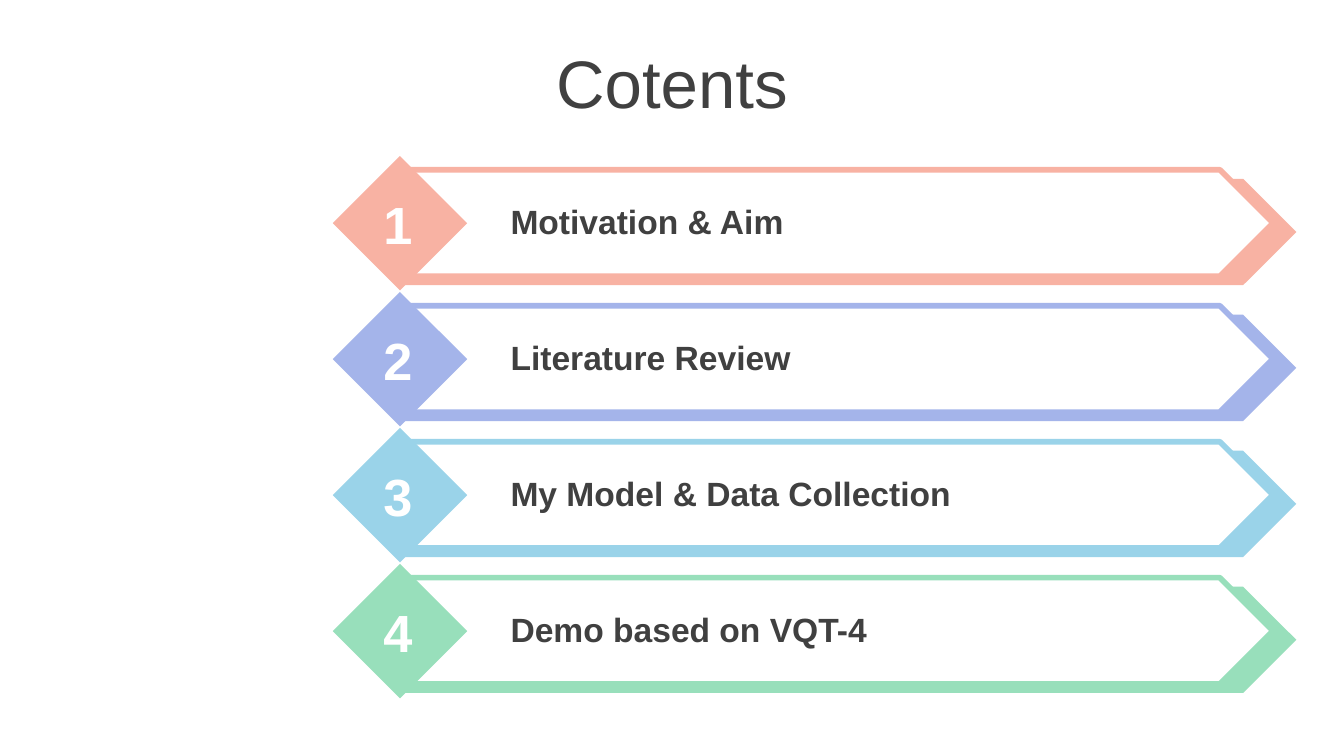
"""Build a contents slide with four numbered, arrow-shaped entries."""

from pptx import Presentation
from pptx.dml.color import RGBColor
from pptx.enum.shapes import MSO_SHAPE as Preset
from pptx.enum.text import MSO_ANCHOR as Anchor, PP_ALIGN as Align
from pptx.util import Cm, Pt

TITLE = "Cotents"
ENTRIES = [
    ("Motivation & Aim", RGBColor(0xF8, 0xB2, 0xA3)),
    ("Literature Review", RGBColor(0xA4, 0xB4, 0xEA)),
    ("My Model & Data Collection", RGBColor(0x9A, 0xD3, 0xE9)),
    ("Demo based on VQT-4", RGBColor(0x98, 0xDF, 0xBB)),
]

WHITE = RGBColor(0xFF, 0xFF, 0xFF)
DARK = RGBColor(0x40, 0x40, 0x40)

SLIDE_SIZE = (25.4, 14.29)
ROW_PITCH = 2.57
TITLE_BOX = (0, 0.74, 25.4, 1.6)
BACK_BAR = (7.63, 3.38, 16.87, 2.01)
FRONT_BAR = (7.63, 3.21, 16.43, 2.01)
DIAMOND = (6.29, 2.95, 2.54, 2.54)
NUMBER_BOX = (6.96, 3.51, 1.12, 1.45)
LABEL_BOX = (9.4, 3.68, 13.21, 1.02)

TITLE_FONT = {"name": "Arial", "size": Pt(36), "bold": False}
NUMBER_FONT = {"name": "Arial", "size": Pt(28), "bold": True}
LABEL_FONT = {"name": "Arial", "size": Pt(18), "bold": True}


def place(box, row=0):
    left, top, width, height = box
    return [Cm(value) for value in (left, top + row * ROW_PITCH, width, height)]


def add_preset(shapes, preset, box, row, fill, line=None):
    shape = shapes.add_shape(preset, *place(box, row))
    shape.shadow.inherit = False
    shape.fill.solid()
    shape.fill.fore_color.rgb = fill
    if line is None:
        shape.line.fill.background()
    else:
        shape.line.color.rgb = line
        shape.line.width = Pt(3)


def add_text(slide, text, box, font, color, row=0, align=Align.LEFT, anchor=Anchor.MIDDLE):
    frame = slide.shapes.add_textbox(*place(box, row)).text_frame
    frame.word_wrap = True
    frame.vertical_anchor = anchor
    paragraph = frame.paragraphs[0]
    paragraph.alignment = align
    run = paragraph.add_run()
    run.text = text
    for name, value in font.items():
        setattr(run.font, name, value)
    run.font.color.rgb = color


def add_entry(slide, row, label, color):
    shapes = slide.shapes.add_group_shape().shapes
    add_preset(shapes, Preset.PENTAGON, BACK_BAR, row, color)
    add_preset(shapes, Preset.PENTAGON, FRONT_BAR, row, WHITE, color)
    add_preset(shapes, Preset.DIAMOND, DIAMOND, row, color)
    add_text(slide, str(row + 1), NUMBER_BOX, NUMBER_FONT, WHITE, row, Align.CENTER)
    add_text(slide, label, LABEL_BOX, LABEL_FONT, DARK, row, anchor=Anchor.TOP)


def main():
    presentation = Presentation()
    presentation.slide_width, presentation.slide_height = map(Cm, SLIDE_SIZE)
    slide = presentation.slides.add_slide(presentation.slide_layouts[6])
    add_text(slide, TITLE, TITLE_BOX, TITLE_FONT, DARK, align=Align.CENTER)
    for row, (label, color) in enumerate(ENTRIES):
        add_entry(slide, row, label, color)
    presentation.save("out.pptx")


if __name__ == "__main__":
    main()
